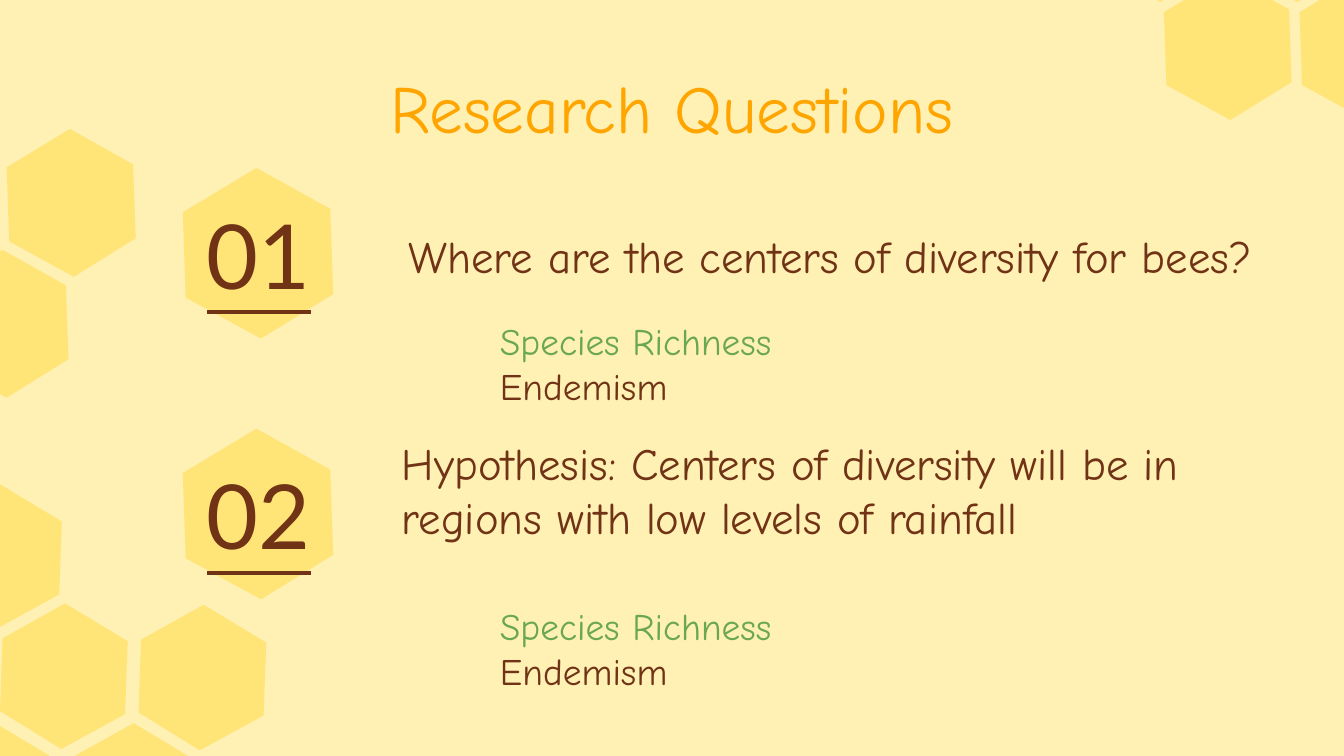
from lxml import etree
from pptx import Presentation
from pptx.dml.color import RGBColor
from pptx.enum import text
from pptx.oxml.ns import qn
from pptx.util import Pt

CREAM, HONEY, ORANGE, BROWN, GREEN = "FFF0B3", "FFDB45", "FFA500", "703316", "6AA84F"
HAND, SANS = "Comic Neue", "Lato"
TOP, MIDDLE, BOTTOM = text.MSO_ANCHOR.TOP, text.MSO_ANCHOR.MIDDLE, text.MSO_ANCHOR.BOTTOM
LEFT, CENTER = text.PP_ALIGN.LEFT, text.PP_ALIGN.CENTER

HEADLINE = "Research Questions"
MEASURES = [("Species Richness", GREEN), ("Endemism", BROWN)]
# number, its box top, question, question box, top of the measures
QUESTIONS = [
    ("01", 113, "Where are the centers of diversity for bees?",
     (211.7, 99.4, 477.4, 59), 163.4),
    ("02", 252.7, "Hypothesis: Centers of diversity will be in regions with low levels of rainfall",
     (208.1, 247, 494.6, 51.1), 316.1),
]

# Corners as fractions of the cell's width and height
HEXAGON = [(0.49, 0), (0, 0.26), (0.02, 0.76), (0.52, 1), (1, 0.74), (0.98, 0.24)]
SMALL, LARGE = (68.4, 78), (80.6, 91.4)
# left-top corners, cell size, mirrored
COMBS = [
    ([(-35.3, 259.2), (74.2, 324), (36.7, 387.4), (0, 323.3), (-37.4, 387.4)], SMALL, True),
    ([(586.1, -77), (623.5, -13.7), (659.5, -77), (696.2, -13.7)], SMALL, False),
    ([(3.6, 69.1), (-32.4, 133.9)], (69.1, 79.2), False),
    ([(97.9, top - 23) for _, top, *_ in QUESTIONS], LARGE, False),
]


def paint(fill, colour):
    fill.solid()
    fill.fore_color.rgb = RGBColor.from_string(colour)


def draw_cell(slide, corner, size, mirrored, depth):
    points = [(Pt(corner[0] + size[0] * (1 - x if mirrored else x)),
               Pt(corner[1] + size[1] * y)) for x, y in HEXAGON]
    builder = slide.shapes.build_freeform(*points[0])
    builder.add_line_segments(points[1:], close=True)
    cell = builder.convert_to_shape()
    cell.shadow.inherit = False
    paint(cell.fill, HONEY)
    cell.line.fill.background()
    colour = cell._element.spPr.find(".//" + qn("a:srgbClr"))
    etree.SubElement(colour, qn("a:alpha"), val="54000")
    slide.shapes._spTree.insert(depth, cell._element)


def write(shape, box, lines, size, font=HAND, anchor=TOP, align=LEFT, underline=False):
    """Place a shape and fill it with (text, colour) lines."""
    for side, value in zip(("left", "top", "width", "height"), box):
        setattr(shape, side, Pt(value))
    frame = shape.text_frame
    layout = dict(word_wrap=True, auto_size=text.MSO_AUTO_SIZE.NONE, vertical_anchor=anchor)
    layout.update({f"margin_{side}": Pt(7.2) for side in ("left", "top", "right", "bottom")})
    for name, value in layout.items():
        setattr(frame, name, value)
    frame.text = "\n".join(line for line, _ in lines)
    for paragraph, (_, colour) in zip(frame.paragraphs, lines):
        properties = paragraph._p.get_or_add_pPr()
        properties.set("marL", "0")
        properties.set("indent", "0")
        etree.SubElement(properties, qn("a:buNone"))
        for name, value in dict(alignment=align, space_before=Pt(0), line_spacing=1.0).items():
            setattr(paragraph, name, value)
        style = dict(name=font, size=Pt(size), bold=False, underline=underline)
        run_font = paragraph.runs[0].font
        for name, value in style.items():
            setattr(run_font, name, value)
        paint(run_font.fill, colour)


def main():
    deck = Presentation()
    deck.slide_width, deck.slide_height = Pt(720), Pt(405)
    slide = deck.slides.add_slide(deck.slide_layouts.get_by_name("Comparison"))
    paint(slide.background.fill, CREAM)

    cells = [(corner, size, mirrored) for corners, size, mirrored in COMBS for corner in corners]
    for depth, cell in enumerate(cells, start=2):
        draw_cell(slide, *cell, depth)

    headline, *bodies = slide.placeholders
    write(headline, (36.7, 28.1, 646.6, 52.6), [(HEADLINE, ORANGE)], 36, align=CENTER)
    pairs = zip(bodies[::2], bodies[1::2])
    for (question, measures), (number, top, wording, box, list_top) in zip(pairs, QUESTIONS):
        write(question, box, [(wording, BROWN)], 24, anchor=BOTTOM)
        write(measures, (260.6, list_top, 249.1, 59), MEASURES, 20)
        label = slide.shapes.add_textbox(0, 0, 0, 0)
        write(label, (86.4, top, 104.4, 45.4), [(number, BROWN)], 48, SANS, MIDDLE, CENTER, True)

    deck.save("out.pptx")


if __name__ == "__main__":
    main()
